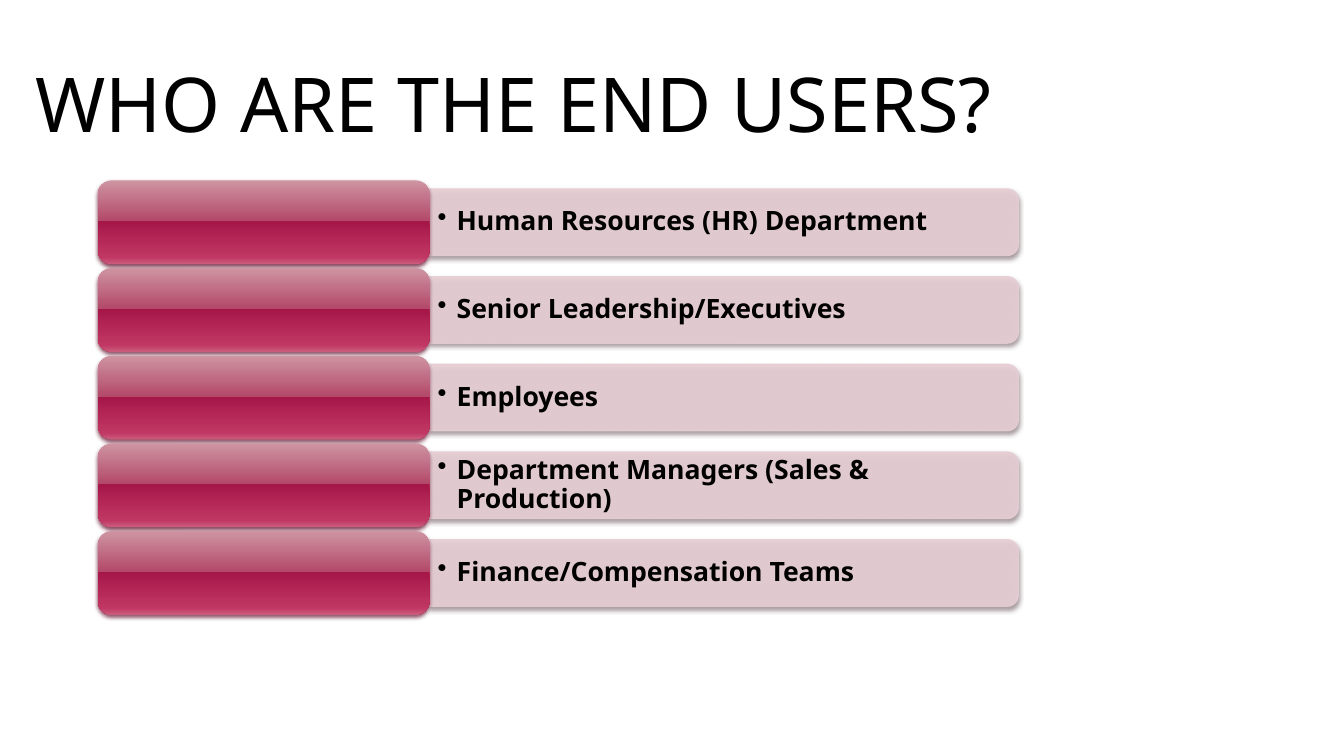
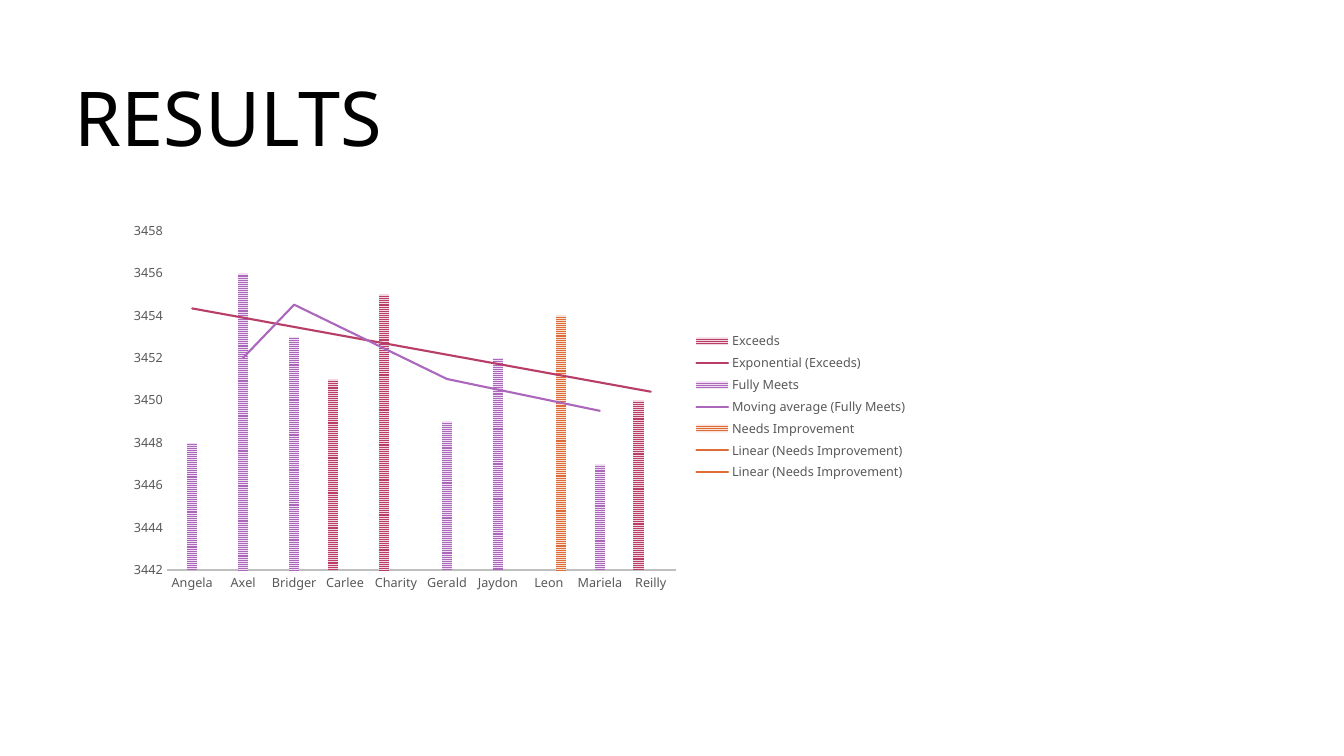
from pptx import Presentation
from pptx.chart.data import CategoryChartData
from pptx.dml.color import RGBColor
from pptx.enum.chart import XL_CHART_TYPE, XL_LEGEND_POSITION, XL_TICK_MARK
from pptx.enum.dml import MSO_PATTERN
from pptx.enum.shapes import MSO_SHAPE
from pptx.enum.text import MSO_ANCHOR
from pptx.oxml import parse_xml
from pptx.oxml.ns import nsdecls
from pptx.util import Inches, Pt

ROUNDED = MSO_SHAPE.ROUNDED_RECTANGLE
TOP_ROUNDED = MSO_SHAPE.ROUND_2_SAME_RECTANGLE
MIDDLE = MSO_ANCHOR.MIDDLE
STRIPES = MSO_PATTERN.NARROW_HORIZONTAL
CLUSTERED = XL_CHART_TYPE.COLUMN_CLUSTERED
LEGEND_RIGHT = XL_LEGEND_POSITION.RIGHT
NO_TICKS = XL_TICK_MARK.NONE


class Theme:
    font = "Noto Sans"
    ink = "000000"
    muted = "595959"
    axis = "BFBFBF"
    bar = "E6CED4"
    bar_shadow = "8E7F83"
    tab_gradient = [(0, "CE94A2"), (49, "B34869"), (49, "A61749"),
                    (92, "C13764"), (100, "CA5D7C")]
    tab_shadow = "722640"
    title_size = 54
    body_size = 19
    chart_size = 10
    label_size = 9


def add_text(slide, text, box, size, bold=False, bullet=False, insets=(0.1, 0.05)):
    frame = slide.shapes.add_textbox(*map(Inches, box)).text_frame
    frame.word_wrap = True
    frame.vertical_anchor = MIDDLE
    frame.margin_left = frame.margin_right = Inches(insets[0])
    frame.margin_top = frame.margin_bottom = Inches(insets[1])
    paragraph = frame.paragraphs[0]
    run = paragraph.add_run()
    run.text = text
    run.font.name = Theme.font
    run.font.size = Pt(size)
    run.font.bold = bold
    run.font.color.rgb = RGBColor.from_string(Theme.ink)
    if bullet:
        paragraph.line_spacing = 0.9
        properties = paragraph._p.get_or_add_pPr()
        properties.set("marL", str(Inches(0.19)))
        properties.set("indent", str(Inches(-0.19)))
        properties.append(parse_xml(f'<a:buChar {nsdecls("a")} char="•"/>'))


def add_shadow(shape, color):
    shape.shadow.inherit = False
    shape._element.spPr.find("{*}effectLst").append(parse_xml(
        f'<a:outerShdw {nsdecls("a")} blurRad="{Pt(3.1)}" dist="{Pt(2)}" '
        f'dir="5400000" rotWithShape="0"><a:srgbClr val="{color}">'
        f'<a:alpha val="83000"/></a:srgbClr></a:outerShdw>'))


prs = Presentation()
prs.slide_width, prs.slide_height = Inches(13.33), Inches(7.5)
blank = prs.slide_layouts[6]

# Slide 1: end users
users_slide = prs.slides.add_slide(blank)
add_text(users_slide, "WHO ARE THE END USERS?", (0.25, 0.51, 9.7, 1.01), Theme.title_size)

end_users = ["Human Resources (HR) Department", "Senior Leadership/Executives",
             "Employees", "Department Managers (Sales & Production)",
             "Finance/Compensation Teams"]
tab_left, tab_width, tab_height = 0.97, 3.29, 0.83
bar_left, bar_length, bar_height = tab_left + tab_width, 5.84, 0.66
first_top, row_pitch = 1.79, 0.87
stops = "".join(f'<a:gs pos="{position * 1000}"><a:srgbClr val="{color}"/></a:gs>'
                for position, color in Theme.tab_gradient)

for row, user in enumerate(end_users):
    top = first_top + row * row_pitch
    middle = top + tab_height / 2

    # Pale bar, turned so that its rounded end points right
    bar = users_slide.shapes.add_shape(
        TOP_ROUNDED, Inches(bar_left + (bar_length - bar_height) / 2),
        Inches(middle - bar_length / 2), Inches(bar_height), Inches(bar_length))
    bar.rotation = 90
    bar.fill.solid()
    bar.line.fill.solid()
    bar.line.width = Pt(0.9)
    for paint in (bar.fill, bar.line.fill):
        paint.fore_color.rgb = RGBColor.from_string(Theme.bar)
    for color in bar._element.spPr.iter("{*}srgbClr"):
        color.append(parse_xml(f'<a:alpha {nsdecls("a")} val="90000"/>'))
    add_shadow(bar, Theme.bar_shadow)

    add_text(users_slide, user, (bar_left, middle - 0.3, 5.81, 0.6), Theme.body_size,
             bold=True, bullet=True, insets=(0.08, 0.04))

    # Glossy tab
    tab = users_slide.shapes.add_shape(
        ROUNDED, Inches(tab_left), Inches(top), Inches(tab_width), Inches(tab_height))
    tab.line.fill.background()
    tab._element.spPr.find("{*}prstGeom").addnext(parse_xml(
        f'<a:gradFill {nsdecls("a")} rotWithShape="1"><a:gsLst>{stops}</a:gsLst>'
        f'<a:lin ang="5400000" scaled="0"/></a:gradFill>'))
    add_shadow(tab, Theme.tab_shadow)

# Slide 2: results
results_slide = prs.slides.add_slide(blank)
add_text(results_slide, "RESULTS", (0.64, 0.65, 7.59, 1.01), Theme.title_size)

employees = ["Angela", "Axel", "Bridger", "Carlee", "Charity",
             "Gerald", "Jaydon", "Leon", "Mariela", "Reilly"]
# Rating, scores by employee, stripe colours, trend types
ratings = [
    ("Exceeds", {"Carlee": 3451, "Charity": 3455, "Reilly": 3450},
     "B83D68", "F2D7E0", ["exp"]),
    ("Fully Meets", {"Angela": 3448, "Axel": 3456, "Bridger": 3453,
                     "Gerald": 3449, "Jaydon": 3452, "Mariela": 3447},
     "AC66BB", "EEE0F1", ["movingAvg"]),
    ("Needs Improvement", {"Leon": 3454}, "DE6C36", "F8E2D7", ["linear", "linear"]),
]
scores = CategoryChartData()
scores.categories = employees
for rating, score_by_name, *_ in ratings:
    scores.add_series(rating, [score_by_name.get(name) for name in employees])
chart = results_slide.shapes.add_chart(
    CLUSTERED, Inches(1.17), Inches(2.12), Inches(7.93), Inches(3.83), scores).chart
chart.has_title = False
chart.font.name = Theme.font
chart.font.size = Pt(Theme.chart_size)
chart.font.color.rgb = RGBColor.from_string(Theme.ink)

# Striped columns and trend lines
plot = chart.plots[0]
plot.vary_by_categories = False
plot.gap_width, plot.overlap = 164, -22
for series, (_, _, strong, pale, trends) in zip(plot.series, ratings):
    fill = series.format.fill
    fill.patterned()
    fill.pattern = STRIPES
    fill.fore_color.rgb = RGBColor.from_string(strong)
    fill.back_color.rgb = RGBColor.from_string(pale)
    series.format.line.fill.background()
    series.invert_if_negative = False
    for trend in trends:
        period = '<c:period val="2"/>' if trend == "movingAvg" else ""
        series._element.find("{*}cat").addprevious(parse_xml(
            f'<c:trendline {nsdecls("c", "a")}><c:spPr><a:ln w="{Pt(1.5)}" cap="rnd">'
            f'<a:solidFill><a:srgbClr val="{strong}"/></a:solidFill></a:ln></c:spPr>'
            f'<c:trendlineType val="{trend}"/>{period}'
            f'<c:dispRSqr val="0"/><c:dispEq val="0"/></c:trendline>'))

# Axes and legend
names_axis, score_axis = chart.category_axis, chart.value_axis
score_axis.minimum_scale, score_axis.maximum_scale = 3442, 3458
score_axis.major_unit = 2
score_axis.has_major_gridlines = False
score_axis.format.line.fill.background()
names_axis.format.line.color.rgb = RGBColor.from_string(Theme.axis)
names_axis.format.line.width = Pt(1.5)
for axis in (names_axis, score_axis):
    axis.major_tick_mark = axis.minor_tick_mark = NO_TICKS
chart.has_legend = True
chart.legend.position = LEGEND_RIGHT
chart.legend.include_in_layout = False
for font in (names_axis.tick_labels.font, score_axis.tick_labels.font, chart.legend.font):
    font.name = Theme.font
    font.size = Pt(Theme.label_size)
    font.color.rgb = RGBColor.from_string(Theme.muted)

prs.save("out.pptx")
